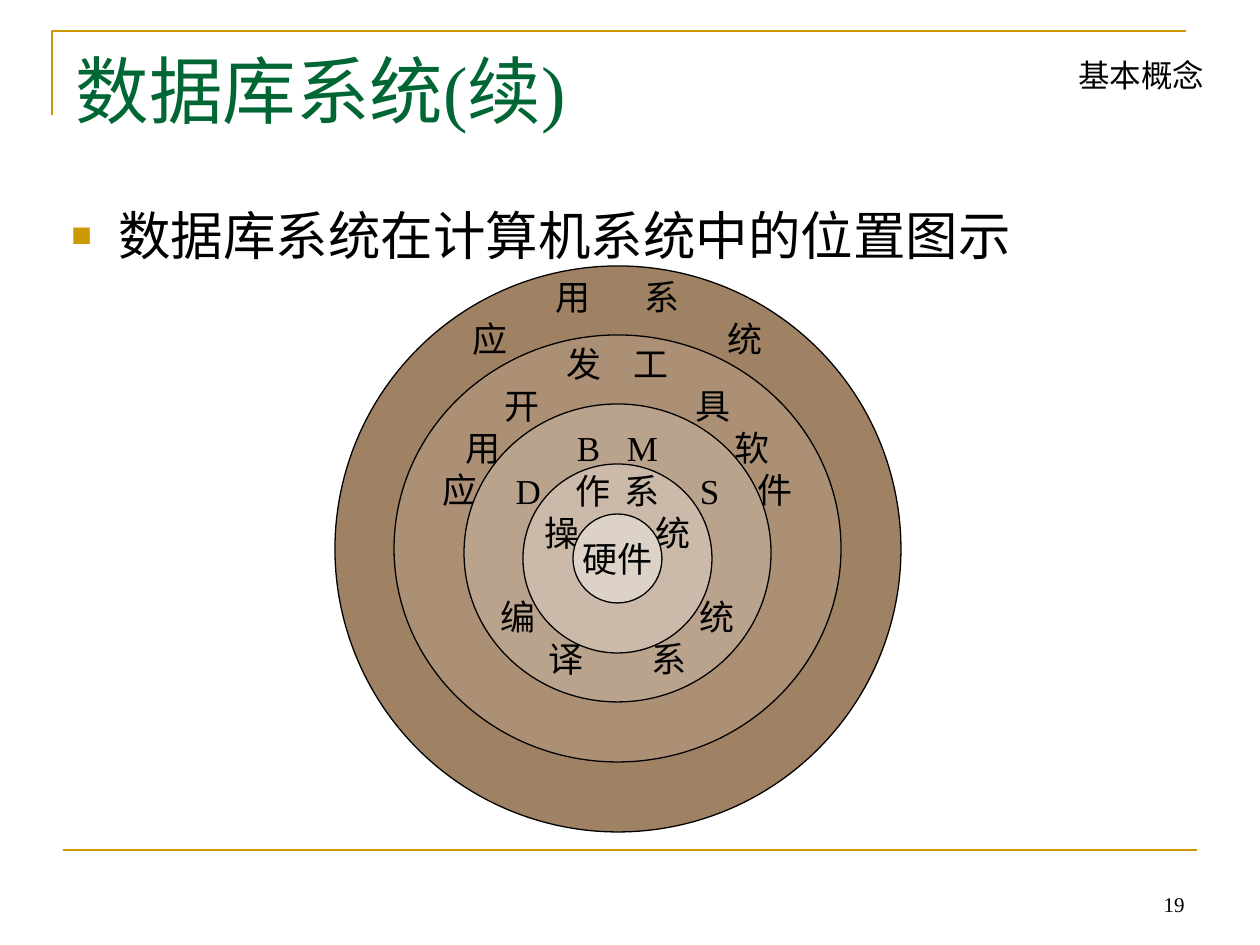
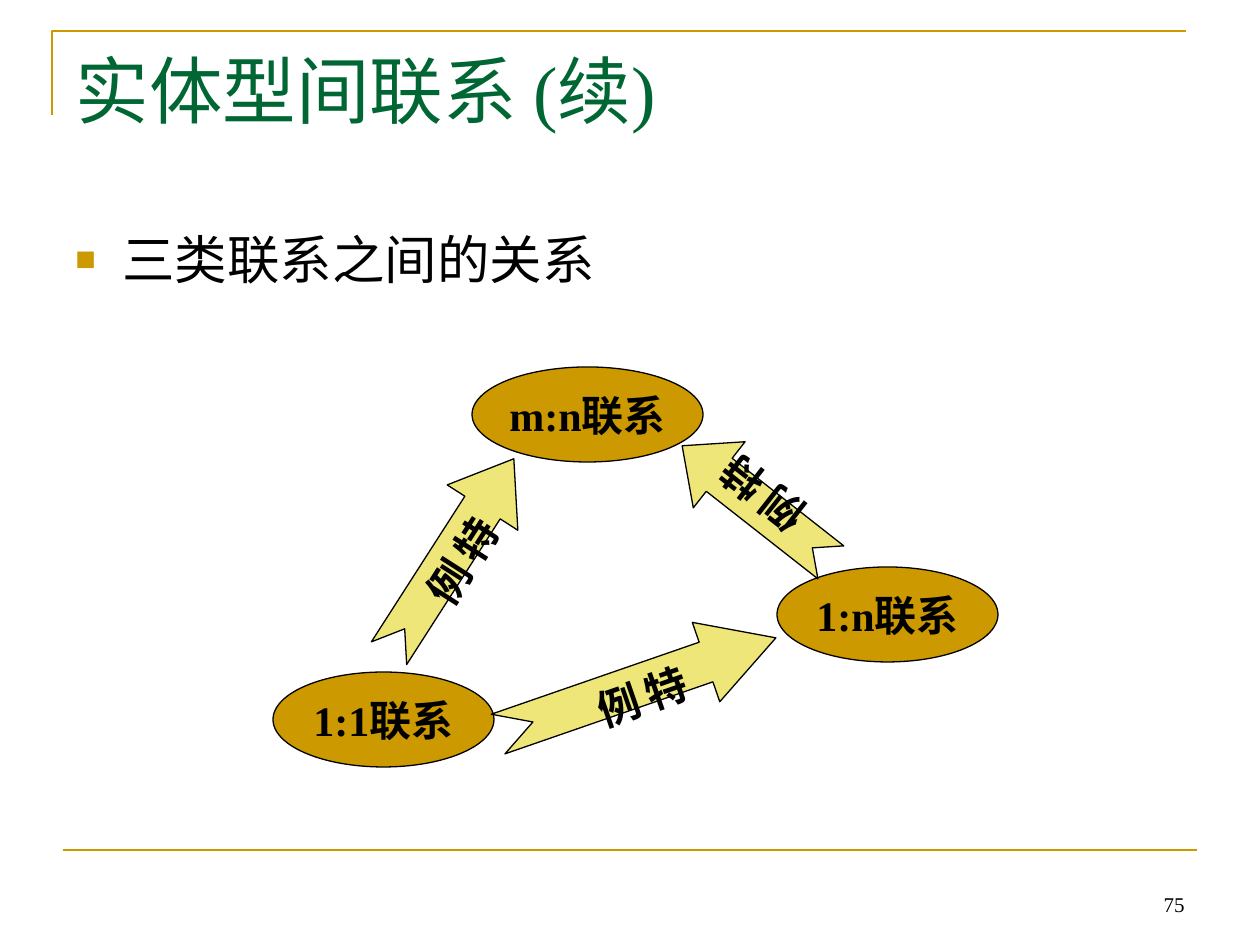
"""Build two database course slides: system layers and relationship types."""
from dataclasses import dataclass

from lxml.etree import SubElement
from pptx import Presentation
from pptx.dml.color import RGBColor
from pptx.enum.shapes import MSO_CONNECTOR, MSO_SHAPE
from pptx.enum.text import MSO_ANCHOR, MSO_AUTO_SIZE, PP_ALIGN
from pptx.oxml.ns import qn
from pptx.util import Emu, Pt

PX_PER_INCH = 126
EMU_PER_PX = 914400 / PX_PER_INCH
GOLD, GREEN, BLACK, YELLOW = "CC9900", "006633", "000000", "EEE678"
SERIF, SANS = "Times New Roman", "Arial"
RINGS_AXIS_X2 = 1236


@dataclass(frozen=True)
class TextStyle:
    size: int
    font: str = SERIF
    color: str = BLACK
    bold: bool = False
    align: PP_ALIGN = PP_ALIGN.LEFT
    anchor: MSO_ANCHOR = MSO_ANCHOR.TOP
    wrap: bool = True


TITLE = TextStyle(42, color=GREEN)
BODY = TextStyle(30, SANS)
TOPIC = TextStyle(18, SANS, wrap=False)
PAGE = TextStyle(12, align=PP_ALIGN.RIGHT, anchor=MSO_ANCHOR.BOTTOM)
LAYER = TextStyle(20, align=PP_ALIGN.CENTER, anchor=MSO_ANCHOR.MIDDLE, wrap=False)
RELATION = TextStyle(24, bold=True, align=PP_ALIGN.CENTER,
                     anchor=MSO_ANCHOR.MIDDLE, wrap=False)


@dataclass(frozen=True)
class GlyphPair:
    glyphs: str
    spread: int
    gap_above: int = 0


@dataclass(frozen=True)
class Ring:
    top: int
    width: int
    height: int
    color: str
    pairs: tuple[GlyphPair, ...] = ()
    inset_below: int = 0
    anchor: MSO_ANCHOR = MSO_ANCHOR.MIDDLE


@dataclass(frozen=True)
class Relation:
    label: str
    left: int
    top: int
    width: int


@dataclass(frozen=True)
class SpecialCaseArrow:
    left: int
    top: int
    width: int
    rotation: float
    head: float


RINGS = (
    Ring(266, 566, 566, "9F8163",
         (GlyphPair("用系", 23), GlyphPair("应统", 106)),
         390, MSO_ANCHOR.BOTTOM),
    Ring(335, 447, 427, "AB9075",
         (GlyphPair("发工", 12), GlyphPair("开具", 74),
          GlyphPair("用软", 113), GlyphPair("应件", 136)), 244),
    Ring(404, 307, 298, "B9A38D",
         (GlyphPair("BM", 9), GlyphPair("DS", 75),
          GlyphPair("编统", 78, 84), GlyphPair("译系", 30))),
    Ring(464, 189, 189, "CBBAA9",
         (GlyphPair("作系", 3), GlyphPair("操统", 34)), 94),
)
HARDWARE = Ring(514, 89, 89, "DDD2C7")
RELATIONS = (
    Relation("m:n联系", 472, 367, 231),
    Relation("1:1联系", 273, 672, 221),
    Relation("1:n联系", 777, 567, 221),
)
ARROWS = (
    SpecialCaseArrow(336, 514, 231, 302.7, 0.69),
    SpecialCaseArrow(490, 644, 294, 340.9, 0.88),
    SpecialCaseArrow(662, 462, 189, 218.1, 0.56),
)


def px(length: float) -> Emu:
    """Turn pixels into EMU."""
    return Emu(round(length * EMU_PER_PX))


def rgb(color: str) -> RGBColor:
    """Turn a hex string into a colour."""
    return RGBColor.from_string(color)


def format_text(shape, style: TextStyle) -> None:
    """Apply a style to all text of a shape."""
    frame = shape.text_frame
    frame.auto_size = MSO_AUTO_SIZE.NONE
    frame.word_wrap = style.wrap
    frame.vertical_anchor = style.anchor
    for paragraph in frame.paragraphs:
        paragraph.alignment = style.align
        for run in paragraph.runs:
            run.font.size = Pt(style.size)
            run.font.name = style.font
            run.font.bold = style.bold
            run.font.color.rgb = rgb(style.color)


def write(shape, text: str, style: TextStyle) -> None:
    """Fill a shape with styled text, one paragraph a line."""
    shape.text_frame.text = text
    format_text(shape, style)


def add_text(slide, left: int, top: int, width: int, height: int,
             text: str, style: TextStyle):
    """Add a styled text box."""
    box = slide.shapes.add_textbox(px(left), px(top), px(width), px(height))
    write(box, text, style)
    return box


def add_outlined(shapes, kind: MSO_SHAPE, left: int, top: int, width: int,
                 height: int, color: str):
    """Add a filled preset shape with a thin black outline."""
    shape = shapes.add_shape(kind, px(left), px(top), px(width), px(height))
    shape.shadow.inherit = False
    shape.fill.solid()
    shape.fill.fore_color.rgb = rgb(color)
    shape.line.color.rgb = rgb(BLACK)
    shape.line.width = Pt(0.75)
    return shape


def style_rule(rule) -> None:
    """Give a frame line its gold stroke."""
    rule.line.color.rgb = rgb(GOLD)
    rule.line.width = Pt(1.5)


def add_frame(slide) -> None:
    """Draw the corner at the top and the line at the bottom."""
    builder = slide.shapes.build_freeform(52, 115, scale=EMU_PER_PX)
    builder.add_line_segments([(52, 31), (1186, 31)], close=False)
    corner = builder.convert_to_shape()
    corner.shadow.inherit = False
    corner.fill.background()
    style_rule(corner)
    footer_rule = slide.shapes.add_connector(
        MSO_CONNECTOR.STRAIGHT, px(63), px(850), px(1197), px(850))
    style_rule(footer_rule)
    SubElement(footer_rule._element.spPr, qn("a:effectLst"))


def add_bullet(slide, left: int, top: int, text: str) -> None:
    """Add a body line with a square gold bullet."""
    body = add_text(slide, left, top, 1134, 624, text, BODY)
    properties = body.text_frame.paragraphs[0]._p.get_or_add_pPr()
    properties.set("marL", str(px(47)))
    properties.set("indent", str(-px(47)))
    bullet_color = SubElement(properties, qn("a:buClr"))
    SubElement(bullet_color, qn("a:srgbClr"), val=GOLD)
    SubElement(properties, qn("a:buSzPct"), val="65000")
    SubElement(properties, qn("a:buFont"), typeface=SANS)
    SubElement(properties, qn("a:buChar"), char="■")


def new_slide(deck, title: str, page: str):
    """Add a slide with the shared frame, title and page number."""
    slide = deck.slides.add_slide(deck.slide_layouts[5])
    add_frame(slide)
    heading = slide.shapes.title
    heading.left, heading.top = px(63), px(39)
    heading.width, heading.height = px(1134), px(157)
    write(heading, title, TITLE)
    add_text(slide, 903, 860, 294, 63, page, PAGE)
    return slide


def add_ring(slide, ring: Ring):
    """Draw a layer centred on the common axis."""
    left = (RINGS_AXIS_X2 - ring.width) // 2
    return add_outlined(slide.shapes, MSO_SHAPE.OVAL, left, ring.top,
                        ring.width, ring.height, ring.color)


def write_pairs(shape, ring: Ring) -> None:
    """Write the layer's name along its ring as widely spaced pairs."""
    frame = shape.text_frame
    for row, pair in enumerate(ring.pairs):
        paragraph = frame.add_paragraph() if row else frame.paragraphs[0]
        paragraph.space_before = px(pair.gap_above)
        first, second = pair.glyphs
        opening = paragraph.add_run()
        opening.text = first + " "
        spacing = round(pair.spread * 7200 / PX_PER_INCH)
        opening._r.get_or_add_rPr().set("spc", str(spacing))
        paragraph.add_run().text = second
    format_text(shape, LAYER)
    frame.vertical_anchor = ring.anchor
    frame.margin_top = 0
    frame.margin_bottom = px(ring.inset_below)


def add_relation(shapes, relation: Relation) -> None:
    """Draw a relationship type as a labelled ellipse."""
    ellipse = add_outlined(shapes, MSO_SHAPE.OVAL, relation.left,
                           relation.top, relation.width, 95, GOLD)
    write(ellipse, relation.label, RELATION)


def add_arrow(shapes, arrow: SpecialCaseArrow) -> None:
    """Draw a rotated arrow from a special case to its general type."""
    shape = add_outlined(shapes, MSO_SHAPE.NOTCHED_RIGHT_ARROW, arrow.left,
                         arrow.top, arrow.width, 84, YELLOW)
    shape.adjustments[0] = 0.5
    shape.adjustments[1] = arrow.head
    shape.rotation = arrow.rotation
    write(shape, "特\n例", RELATION)
    shape.text_frame._txBody.bodyPr.set("vert", "eaVert")


def build_layers(deck) -> None:
    """Build the slide on the layers of a computer system."""
    slide = new_slide(deck, "数据库系统(续)", "19")
    add_bullet(slide, 59, 197, "数据库系统在计算机系统中的位置图示")
    add_text(slide, 1066, 50, 152, 50, "基本概念", TOPIC)
    for ring in RINGS:
        write_pairs(add_ring(slide, ring), ring)
    write(add_ring(slide, HARDWARE), "硬件", LAYER)


def build_relations(deck) -> None:
    """Build the slide on the three relationship types."""
    slide = new_slide(deck, "实体型间联系 (续)", "75")
    add_bullet(slide, 63, 221, "三类联系之间的关系")
    diagram = slide.shapes.add_group_shape().shapes
    for relation in RELATIONS:
        add_relation(diagram, relation)
    for arrow in ARROWS:
        add_arrow(diagram, arrow)


def main() -> None:
    """Build and save the deck."""
    deck = Presentation()
    deck.slide_width, deck.slide_height = px(1260), px(945)
    build_layers(deck)
    build_relations(deck)
    deck.save("out.pptx")


if __name__ == "__main__":
    main()
